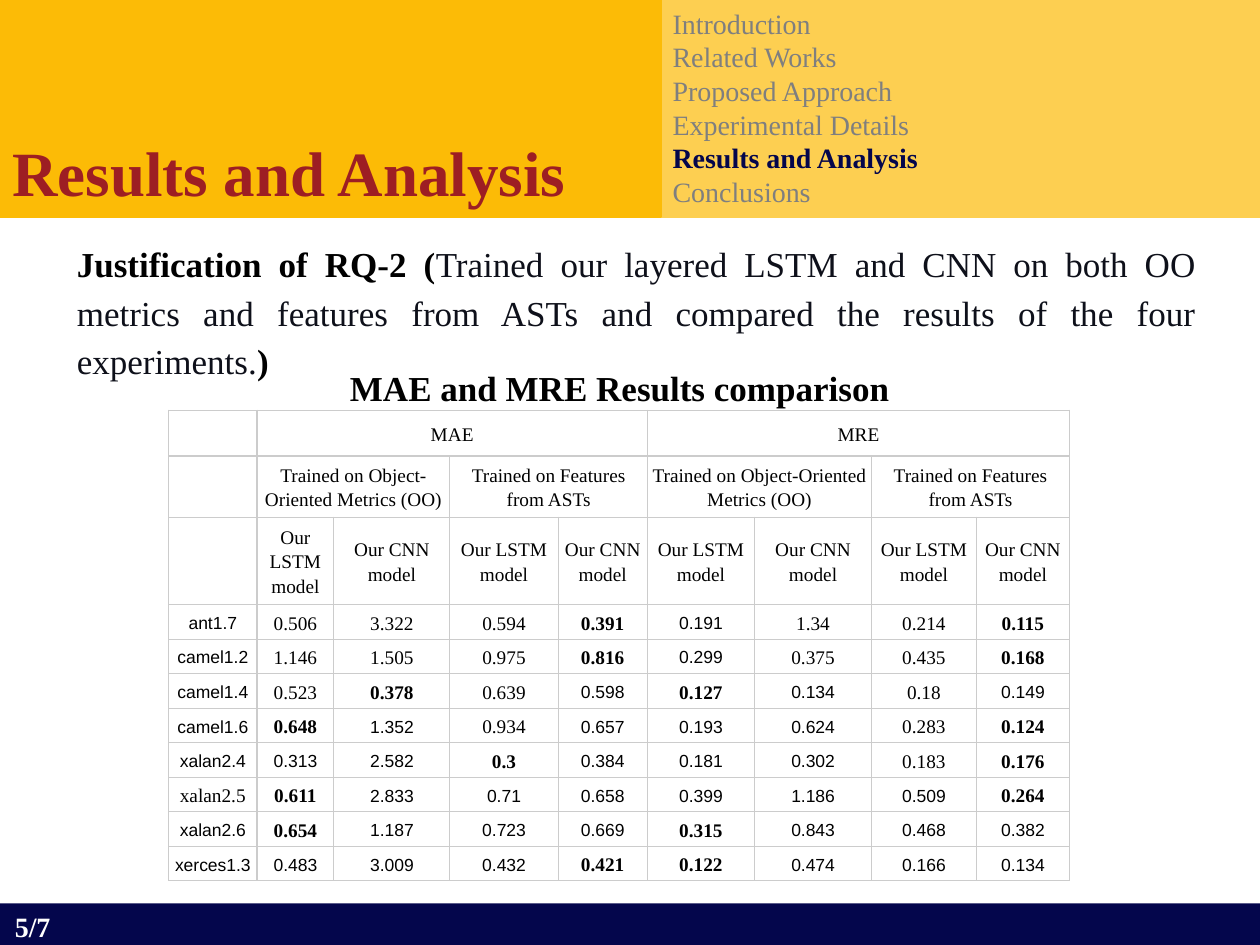
from lxml import etree
from pptx import Presentation
from pptx.dml.color import RGBColor
from pptx.enum.shapes import MSO_SHAPE
from pptx.enum.text import MSO_ANCHOR, MSO_AUTO_SIZE, PP_ALIGN
from pptx.oxml.ns import qn
from pptx.util import Cm, Pt

RECTANGLE = MSO_SHAPE.RECTANGLE
MIDDLE = MSO_ANCHOR.MIDDLE
FIT_SHAPE = MSO_AUTO_SIZE.SHAPE_TO_FIT_TEXT
LEFT, CENTER, JUSTIFY = PP_ALIGN.LEFT, PP_ALIGN.CENTER, PP_ALIGN.JUSTIFY

NAVY = RGBColor(0x04, 0x06, 0x4C)
AMBER = RGBColor(0xFC, 0xBB, 0x06)
PALE_AMBER = RGBColor(0xFD, 0xCF, 0x51)
CRIMSON = RGBColor(0x9D, 0x1E, 0x23)
GRAY = RGBColor(0x7F, 0x7F, 0x7F)
INK = RGBColor(0x0E, 0x10, 0x1A)
BLACK = RGBColor(0, 0, 0)
WHITE = RGBColor(0xFF, 0xFF, 0xFF)
GRID = RGBColor(0xCC, 0xCC, 0xCC)

SERIF, SANS = "Times New Roman", "Arial"

SECTIONS = ["Introduction", "Related Works", "Proposed Approach",
            "Experimental Details", "Results and Analysis", "Conclusions"]
CURRENT = "Results and Analysis"

METRICS = ["MAE", "MRE"]
FEATURES = ["Trained on Object-Oriented Metrics (OO)",
            "Trained on Features from ASTs"]
MODELS = ["Our LSTM model", "Our CNN model"]

# A leading * marks bold serif, a leading ~ marks the smaller sans style
RESULTS = """
~ant1.7 0.506 3.322 0.594 *0.391 ~0.191 1.34 0.214 *0.115
~camel1.2 1.146 1.505 0.975 *0.816 ~0.299 0.375 0.435 *0.168
~camel1.4 0.523 *0.378 0.639 ~0.598 *0.127 ~0.134 0.18 ~0.149
~camel1.6 *0.648 ~1.352 0.934 ~0.657 ~0.193 ~0.624 0.283 *0.124
~xalan2.4 ~0.313 ~2.582 *0.3 ~0.384 ~0.181 ~0.302 0.183 *0.176
xalan2.5 *0.611 ~2.833 ~0.71 ~0.658 ~0.399 ~1.186 ~0.509 *0.264
~xalan2.6 *0.654 ~1.187 ~0.723 ~0.669 *0.315 ~0.843 ~0.468 ~0.382
~xerces1.3 ~0.483 ~3.009 ~0.432 *0.421 *0.122 ~0.474 ~0.166 ~0.134
"""
COLUMN_WIDTHS = [1.78, 1.55, 2.34, 2.18, 1.8, 2.16, 2.36, 2.11, 1.88]
HEADER_HEIGHTS = [0.92, 1.21, 1.75]
RESULT_HEIGHT = 0.67


def write(paragraph, text, size=16, font=SERIF, color=BLACK, bold=False,
          align=LEFT, spacing=None):
    """Append one formatted run to a paragraph."""
    paragraph.alignment = align
    if spacing:
        paragraph.line_spacing = spacing
    run = paragraph.add_run()
    run.text = text
    run.font.size = Pt(size)
    run.font.name = font
    run.font.bold = bold
    run.font.color.rgb = color


def add_band(slide, left, top, width, height, color, outlined=True):
    band = slide.shapes.add_shape(RECTANGLE, Cm(left), Cm(top), Cm(width), Cm(height))
    band.shadow.inherit = False
    band.fill.solid()
    band.fill.fore_color.rgb = color
    if outlined:
        band.line.color.rgb = color
        band.line.width = Pt(2)
    else:
        band.line.fill.background()


def add_text_area(slide, left, top, width, height, inset=0.13, wrap=True):
    """Add an empty text box and return its text frame."""
    box = slide.shapes.add_textbox(Cm(left), Cm(top), Cm(width), Cm(height))
    frame = box.text_frame
    frame.word_wrap = wrap
    frame.auto_size = FIT_SHAPE
    frame.margin_left = frame.margin_right = Cm(0.25)
    frame.margin_top = frame.margin_bottom = Cm(inset)
    return frame


def add_agenda(slide):
    frame = add_text_area(slide, 13.31, 0, 9.32, 4.37)
    for index, section in enumerate(SECTIONS):
        paragraph = frame.add_paragraph() if index else frame.paragraphs[0]
        active = section == CURRENT
        write(paragraph, section, color=NAVY if active else GRAY, bold=active)


def draw_borders(cell):
    properties = cell._tc.get_or_add_tcPr()
    for index, side in enumerate(("lnL", "lnR", "lnT", "lnB")):
        border = etree.Element(qn(f"a:{side}"), w=str(Pt(0.75)))
        fill = etree.SubElement(border, qn("a:solidFill"))
        etree.SubElement(fill, qn("a:srgbClr"), val=str(GRID))
        properties.insert(index, border)


def write_cell(cell, text):
    style = {"size": 11}
    if text.startswith("*"):
        style["bold"] = True
    elif text.startswith("~"):
        style = {"size": 10, "font": SANS}
    write(cell.text_frame.paragraphs[0], text.lstrip("*~"),
          align=CENTER, spacing=1.15, **style)


def add_header(table, row, labels, span):
    """Repeat the labels over all value columns, each across span columns."""
    for index, column in enumerate(range(1, len(COLUMN_WIDTHS), span)):
        cell = table.cell(row, column)
        if span > 1:
            cell.merge(table.cell(row, column + span - 1))
        write_cell(cell, labels[index % len(labels)])


def add_results_table(slide):
    results = [line.split() for line in RESULTS.strip().splitlines()]
    heights = HEADER_HEIGHTS + [RESULT_HEIGHT] * len(results)
    table = slide.shapes.add_table(
        len(heights), len(COLUMN_WIDTHS), Cm(3.4), Cm(8.27),
        Cm(sum(COLUMN_WIDTHS)), Cm(sum(heights))).table
    table.first_row = table.horz_banding = False
    for column, width in zip(table.columns, COLUMN_WIDTHS):
        column.width = Cm(width)
    for row, height in zip(table.rows, heights):
        row.height = Cm(height)

    # Common cell look
    for cell in table.iter_cells():
        cell.fill.solid()
        cell.fill.fore_color.rgb = WHITE
        cell.vertical_anchor = MIDDLE
        cell.margin_left = cell.margin_right = Cm(0.08)
        cell.margin_top = cell.margin_bottom = Cm(0.08)
        draw_borders(cell)

    # Headers, then one row per project
    for row, (labels, span) in enumerate([(METRICS, 4), (FEATURES, 2), (MODELS, 1)]):
        add_header(table, row, labels, span)
    for row, values in enumerate(results, len(HEADER_HEIGHTS)):
        for column, value in enumerate(values):
            write_cell(table.cell(row, column), value)


def main():
    deck = Presentation()
    deck.slide_width, deck.slide_height = Cm(25.4), Cm(19.05)
    slide = deck.slides.add_slide(deck.slide_layouts[6])

    # Footer and header bands
    add_band(slide, 0, 18.21, 25.4, 1.02, NAVY, outlined=False)
    add_band(slide, 13.34, 0, 12.06, 4.37, PALE_AMBER)
    add_band(slide, 0, 0, 13.31, 4.37, AMBER)

    # Agenda, heading and page number
    add_agenda(slide)
    heading = add_text_area(slide, 0, 2.57, 13.31, 1.8)
    write(heading.paragraphs[0], CURRENT, size=36, color=CRIMSON, bold=True)
    page = add_text_area(slide, 0.05, 18.21, 1.24, 0.94, wrap=False)
    write(page.paragraphs[0], "5/7", color=WHITE, bold=True)

    # Research question
    question = add_text_area(slide, 1.3, 4.52, 23.06, 3.33, inset=0.25).paragraphs[0]
    for text, color, bold in [
        ("Justification of RQ-2 (", BLACK, True),
        ("Trained our layered LSTM and CNN on both OO metrics and features from "
         "ASTs and compared the results of the four experiments.", INK, False),
        (")", BLACK, True),
    ]:
        write(question, text, size=20, color=color, bold=bold,
              align=JUSTIFY, spacing=1.15)

    # Results
    caption = add_text_area(slide, 3.68, 7.14, 17.63, 1.37, inset=0.25)
    write(caption.paragraphs[0], "MAE and MRE Results comparison",
          size=20, bold=True, align=CENTER)
    add_results_table(slide)

    deck.save("out.pptx")


if __name__ == "__main__":
    main()
